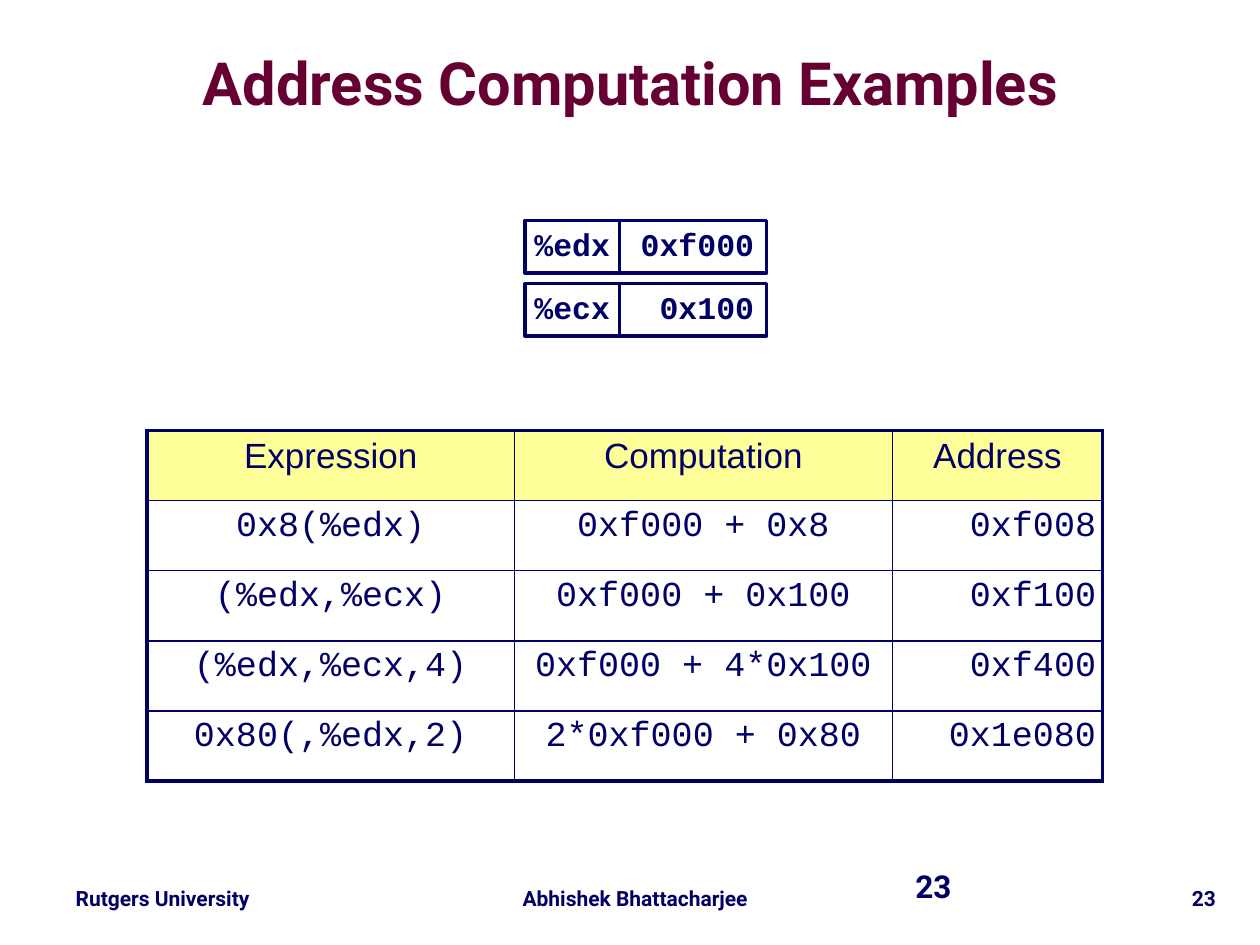
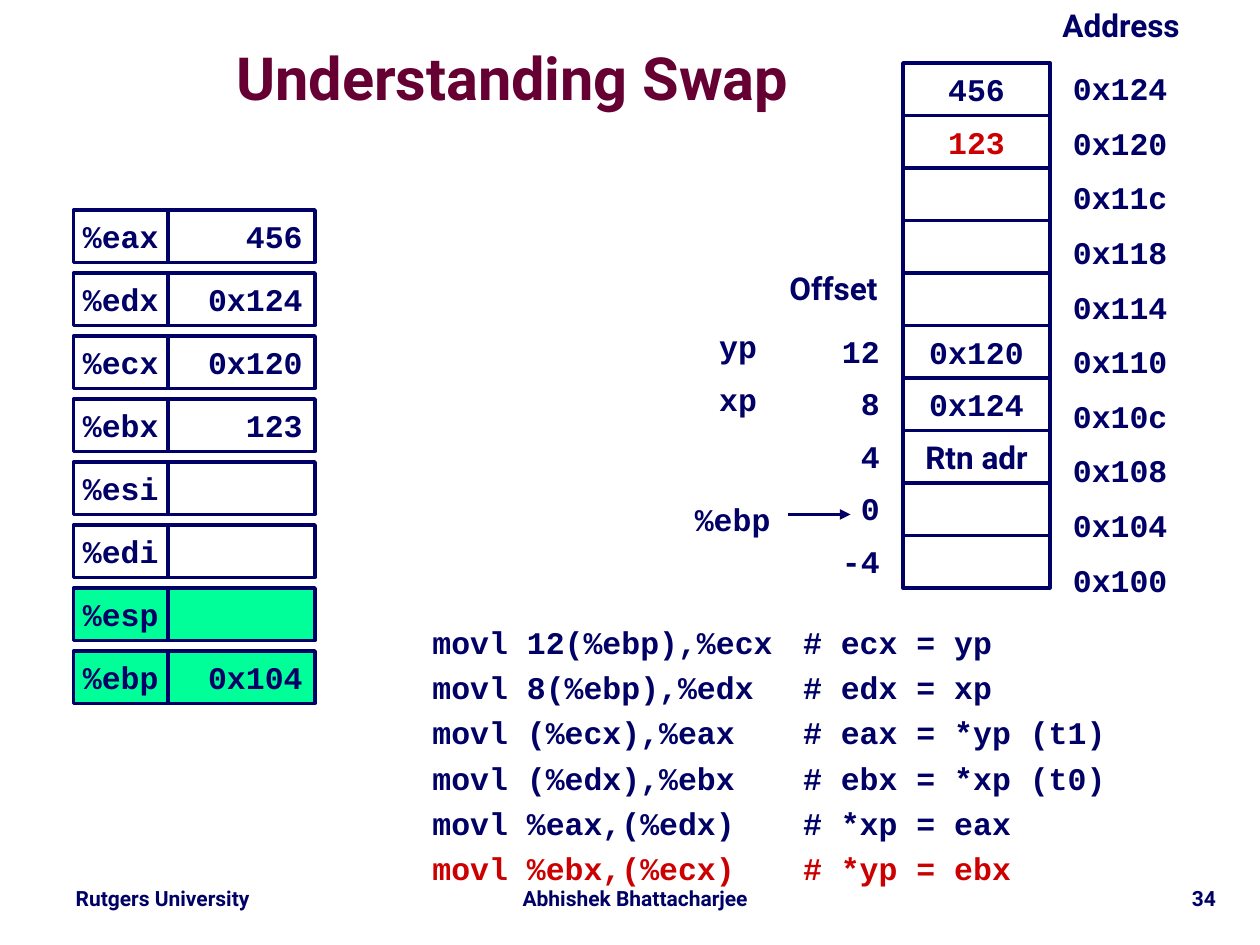
from lxml.etree import SubElement
from pptx import Presentation
from pptx.dml.color import RGBColor
from pptx.enum.shapes import MSO_CONNECTOR, MSO_SHAPE
from pptx.enum.text import MSO_ANCHOR, MSO_AUTO_SIZE, PP_ALIGN
from pptx.oxml.ns import qn
from pptx.util import Pt

PX = 7620
INKS = {"navy": "000066", "wine": "660033", "red": "CC0000",
        "white": "FFFFFF", "green": "00FF99", "cream": "FFFF99"}
SANS, MONO, HEAD = "Roboto", "Courier New", "Arial"
SIDES = {"l": PP_ALIGN.LEFT, "c": PP_ALIGN.CENTER, "r": PP_ALIGN.RIGHT}
CELL_H, NAME_W, DATA_W = 50, 90, 140
STEP = 60


def ink(name):
    """Return a named colour."""
    return RGBColor.from_string(INKS[name])


def px(*nums):
    """Turn px lengths into EMU."""
    return [num * PX for num in nums]


def write(frame, text, size=18, font=MONO, color="navy", bold=True,
          align="l", gap=None, before=None, tabs=()):
    """Add one formatted paragraph to a text frame."""
    para = frame.paragraphs[0]
    if para.runs:
        para = frame.add_paragraph()
    para.alignment = SIDES[align]
    if gap:
        para.line_spacing = gap
    if before:
        para.space_before = Pt(before)
    if tabs:
        stops = SubElement(para._p.get_or_add_pPr(), qn("a:tabLst"))
        for stop in px(*tabs):
            SubElement(stops, qn("a:tab"), pos=str(stop), algn="l")
    run = para.add_run()
    run.text = text
    run.font.size, run.font.name, run.font.bold = Pt(size), font, bold
    run.font.color.rgb = ink(color)


def pad(item, side, end):
    """Set the inner margins of a frame or cell."""
    item.margin_left, item.margin_right = px(side, side)
    item.margin_top, item.margin_bottom = px(end, end)


def label(slide, box, text="", wrap=True, grow=True, side=12, end=6, **fmt):
    """Place a text box and return its frame."""
    frame = slide.shapes.add_textbox(*px(*box)).text_frame
    frame.word_wrap = wrap
    frame.auto_size = (MSO_AUTO_SIZE.SHAPE_TO_FIT_TEXT if grow
                       else MSO_AUTO_SIZE.NONE)
    pad(frame, side, end)
    if text:
        write(frame, text, **fmt)
    return frame


def block(shapes, box, text, fill="white", **fmt):
    """Draw an outlined cell with centred or aligned text."""
    rect = shapes.add_shape(MSO_SHAPE.RECTANGLE, *px(*box))
    rect.shadow.inherit = False
    rect.fill.solid()
    rect.fill.fore_color.rgb = ink(fill)
    rect.line.color.rgb = ink("navy")
    rect.line.width = Pt(2)
    frame = rect.text_frame
    frame.word_wrap = False
    frame.vertical_anchor = MSO_ANCHOR.MIDDLE
    pad(frame, 12, 6)
    if text:
        write(frame, text, **fmt)


def bank(slide, left, top, regs, gap=None):
    """Draw a column of register names beside their values."""
    names = slide.shapes.add_group_shape().shapes
    datas = slide.shapes.add_group_shape().shapes
    for row, (name, data) in enumerate(regs):
        y = top + row * STEP
        fill = "green" if name in ("%esp", "%ebp") else "white"
        block(names, (left, y, NAME_W, CELL_H), name, fill, align="c", gap=gap)
        block(datas, (left + NAME_W, y, DATA_W, CELL_H), data, fill,
              align="r", gap=gap)


def arrow(slide, *ends):
    """Draw a line with a head at its far end."""
    line = slide.shapes.add_connector(MSO_CONNECTOR.STRAIGHT, *px(*ends))
    line.line.color.rgb = ink("navy")
    line.line.width = Pt(2)
    SubElement(line.line._get_or_add_ln(), qn("a:tailEnd"), type="triangle")
    SubElement(line._element.spPr, qn("a:effectLst"))


def edge(cell, side, width):
    """Draw one border of a table cell."""
    line = SubElement(cell._tc.get_or_add_tcPr(), qn("a:ln" + side),
                      w=str(Pt(width)))
    fill = SubElement(line, qn("a:solidFill"))
    SubElement(fill, qn("a:srgbClr"), val=INKS["navy"])


def grid(slide, box, widths, rows):
    """Place a table with a heavy frame and thin inner lines."""
    table = slide.shapes.add_table(len(rows), len(widths), *px(*box)).table
    table.first_row = table.horz_banding = False
    for col, width in zip(table.columns, px(*widths)):
        col.width = width
    for y, row in enumerate(rows):
        for x, text in enumerate(row):
            cell = table.cell(y, x)
            pad(cell, 6, 6)
            outer = {"L": x == 0, "R": x == len(row) - 1,
                     "T": y == 0, "B": y == len(rows) - 1}
            for side, heavy in outer.items():
                edge(cell, side, 2.25 if heavy else 1)
            cell.fill.solid()
            cell.fill.fore_color.rgb = ink("white" if y else "cream")
            write(cell.text_frame, text, size=20, font=MONO if y else HEAD,
                  bold=False, align="r" if y and outer["R"] else "c", before=4)


def start(deck, title, box, page):
    """Add a slide with its title and footers."""
    slide = deck.slides.add_slide(deck.slide_layouts[6])
    feet = [((40, 840, 230, 34), "Rutgers University", "c"),
            ((470, 840, 270, 34), "Abhishek Bhattacharjee", "c"),
            ((980, 840, 190, 36), page, "r")]
    for spot, text, side in feet:
        label(slide, spot, text, size=12, font=SANS, align=side, gap=0.9)
    frame = label(slide, box, title, grow=False, side=0, end=0, size=34,
                  font=SANS, color="wine", align="c", gap=0.87)
    frame.vertical_anchor = MSO_ANCHOR.MIDDLE
    return slide


def address(deck):
    """Build the address computation slide."""
    slide = start(deck, "Address Computation Examples",
                  (37, 32, 1127, 102), "23")
    label(slide, (860, 820, 280, 60), "23", grow=False, font=SANS)
    bank(slide, 500, 210, [("%edx", "0xf000"), ("%ecx", "0x100")], gap=0.9)
    grid(slide, (140, 410, 910, 334), (350, 360, 200), [
        ("Expression", "Computation", "Address"),
        ("0x8(%edx)", "0xf000 + 0x8", "0xf008"),
        ("(%edx,%ecx)", "0xf000 + 0x100", "0xf100"),
        ("(%edx,%ecx,4)", "0xf000 + 4*0x100", "0xf400"),
        ("0x80(,%edx,2)", "2*0xf000 + 0x80", "0x1e080")])


def swap(deck):
    """Build the swap slide with registers, stack and code."""
    slide = start(deck, "Understanding Swap", (70, 40, 836, 76), "34")
    code = [("movl 12(%ebp),%ecx", "# ecx = yp"),
            ("movl 8(%ebp),%edx", "# edx = xp"),
            ("movl (%ecx),%eax", "# eax = *yp (t1)"),
            ("movl (%edx),%ebx", "# ebx = *xp (t0)"),
            ("movl %eax,(%edx)", "# *xp = eax"),
            ("movl %ebx,(%ecx)", "# *yp = ebx")]
    frame = label(slide, (340, 580, 780, 271))
    for pair in code:
        write(frame, "\t" + "\t".join(pair), gap=1.2, tabs=(60, 194, 413),
              color="red" if pair == code[-1] else "navy")

    stack = ["456", "123", "", "", "", "0x120", "0x124", "Rtn adr", "", ""]
    for row, text in enumerate(stack):
        block(slide.shapes, (860, 60 + row * CELL_H, DATA_W, CELL_H), text,
              align="c", color="red" if text == "123" else "navy",
              font=SANS if text == "Rtn adr" else MONO)
        label(slide, (1010, 60 + row * 52, 160, 48), f"0x{0x124 - 4 * row:x}")
    label(slide, (1000, 0, 143, 48), "Address", wrap=False, font=SANS)

    label(slide, (740, 250, 110, 48), "Offset", wrap=False, font=SANS)
    for row, text in enumerate(["12", " 8", " 4", " 0", "-4"]):
        label(slide, (790, 310 + row * CELL_H, 78, 48), text, wrap=False)
    for row, text in enumerate(["yp", "xp"]):
        label(slide, (660, 310 + row * CELL_H, 86, 44), text, side=6,
              align="c", gap=0.9)
    label(slide, (650, 470, 96, 48), "%ebp", wrap=False)
    arrow(slide, 750, 490, 810, 490)

    bank(slide, 70, 200, [
        ("%eax", "456"), ("%edx", "0x124"), ("%ecx", "0x120"),
        ("%ebx", "123"), ("%esi", ""), ("%edi", ""), ("%esp", ""),
        ("%ebp", "0x104")])


def main():
    """Build and save the deck."""
    deck = Presentation()
    deck.slide_width, deck.slide_height = px(1200, 900)
    address(deck)
    swap(deck)
    deck.save("out.pptx")


if __name__ == "__main__":
    main()
